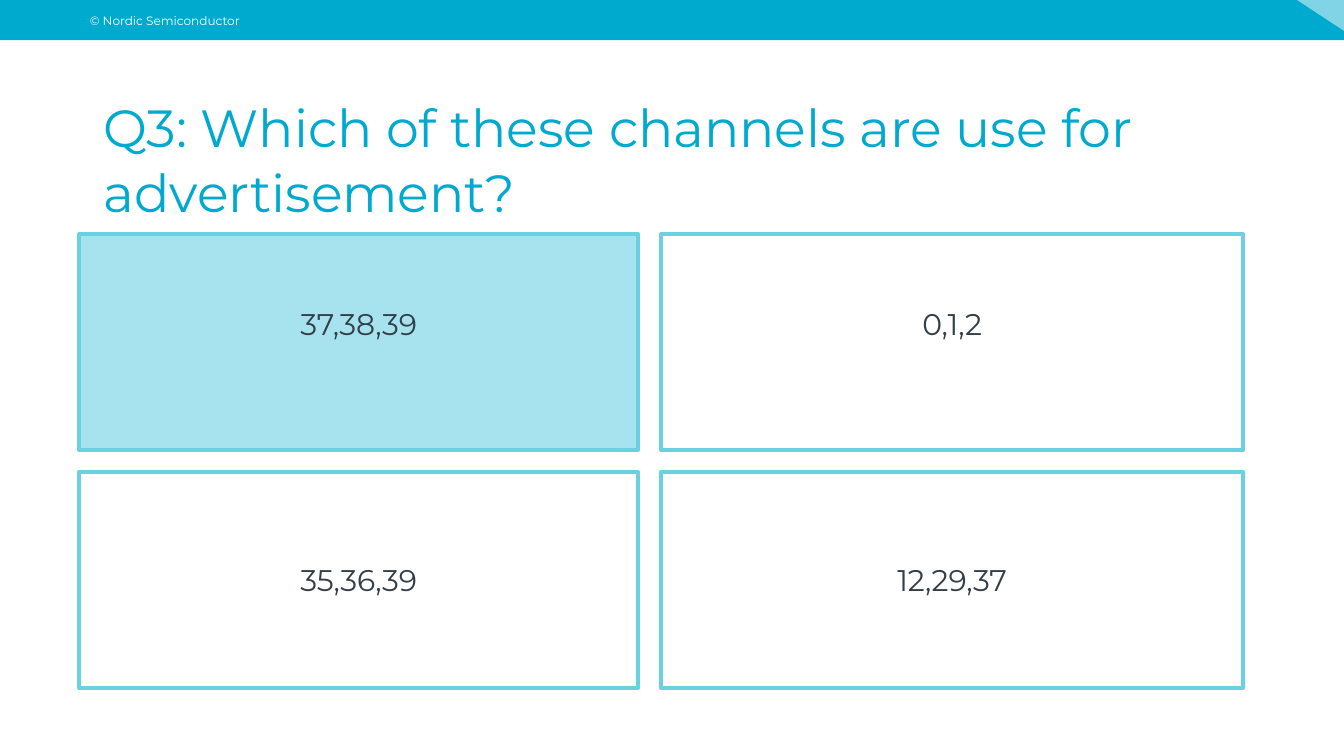
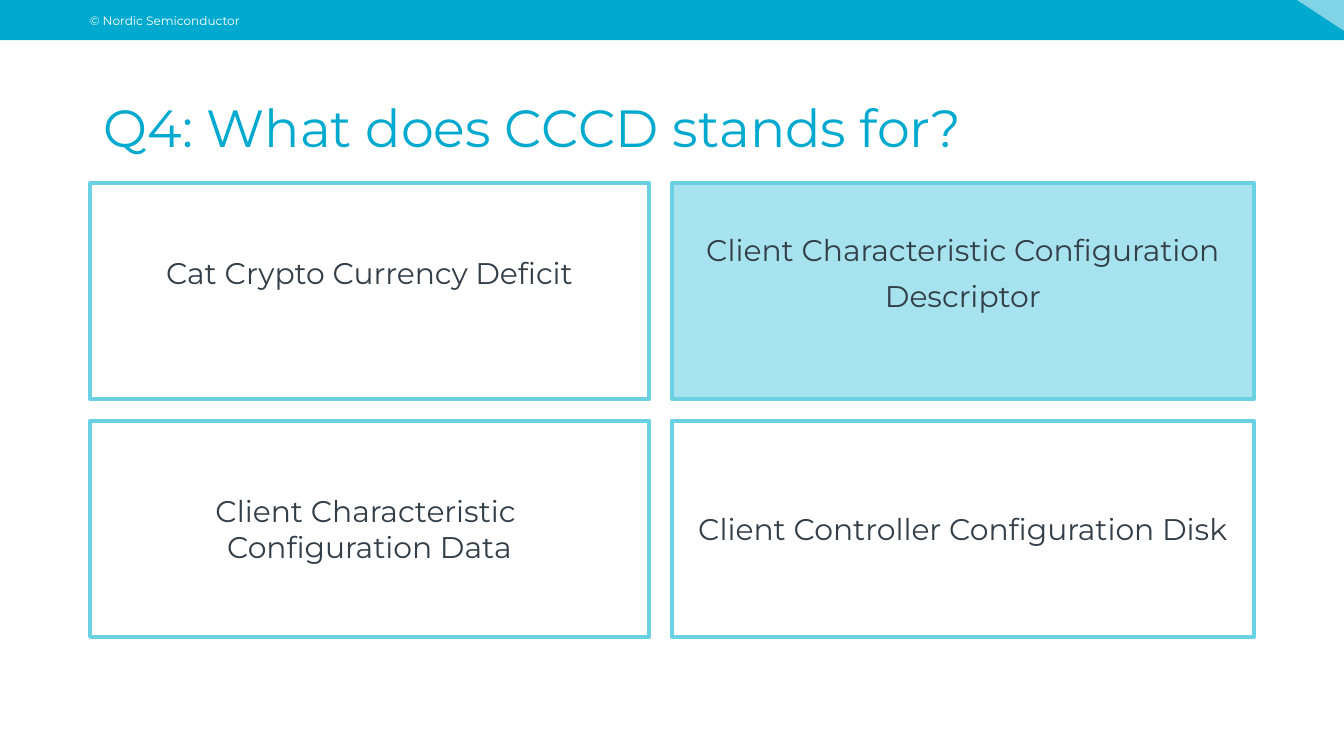
from dataclasses import dataclass

from lxml.etree import SubElement
from pptx import Presentation
from pptx.dml.color import RGBColor
from pptx.enum.shapes import MSO_SHAPE
from pptx.enum.text import MSO_ANCHOR, MSO_AUTO_SIZE, PP_ALIGN
from pptx.oxml.ns import qn
from pptx.util import Inches, Pt

COPYRIGHT = "© Nordic Semiconductor"

# Answers run row by row; each answer is a list of lines.
QUESTIONS = [
    {
        "title": "Q3: Which of these channels are use for advertisement?",
        "answers": [["37,38,39"], ["0,1,2"], ["35,36,39"], ["12,29,37"]],
        "correct": 0,
        "grid_origin": (0.59, 1.74),
    },
    {
        "title": "Q4: What does CCCD stands for?",
        "answers": [
            ["Cat Crypto Currency Deficit"],
            ["Client Characteristic Configuration Descriptor"],
            ["Client Characteristic ", "Configuration Data"],
            ["Client Controller Configuration Disk"],
        ],
        "correct": 1,
        "grid_origin": (0.67, 1.36),
    },
]


@dataclass(frozen=True)
class Theme:
    font: str = "Montserrat"
    blue: RGBColor = RGBColor(0x00, 0xA9, 0xCE)
    border: RGBColor = RGBColor(0x6A, 0xD1, 0xE3)
    highlight: RGBColor = RGBColor(0xA6, 0xE3, 0xEE)
    text: RGBColor = RGBColor(0x33, 0x3F, 0x48)
    white: RGBColor = RGBColor(0xFF, 0xFF, 0xFF)
    title_size: float = 28
    answer_size: float = 16
    copyright_size: float = 6.5


THEME = Theme()
SLIDE_WIDTH = 10
SLIDE_HEIGHT = SLIDE_WIDTH * 9 / 16
BAND_HEIGHT = 0.3
COLUMN_WIDTHS = (4.16, 4.33)
ROW_HEIGHT = 1.61
COLUMN_GAP, ROW_GAP = 0.17, 0.16
TOP_ROW_BOTTOM_INSET = 0.4


def add_run(paragraph, text, size, color):
    run = paragraph.add_run()
    run.text = text
    run.font.name = THEME.font
    run.font.size = Pt(size)
    run.font.color.rgb = color


def style_shape(shape, fill, border=None):
    shape.shadow.inherit = False
    shape.fill.solid()
    shape.fill.fore_color.rgb = fill
    if border is None:
        shape.line.fill.background()
    else:
        shape.line.color.rgb = border
        shape.line.width = Pt(2)


def add_header(slide):
    band = slide.shapes.add_shape(
        MSO_SHAPE.RECTANGLE, 0, 0, Inches(SLIDE_WIDTH), Inches(BAND_HEIGHT))
    style_shape(band, THEME.blue)

    notice = slide.shapes.add_textbox(
        Inches(0.57), Inches(0.04), Inches(3.63), Inches(0.29))
    notice.text_frame.word_wrap = True
    notice.text_frame.margin_top = Inches(0.04)
    paragraph = notice.text_frame.paragraphs[0]
    paragraph.line_spacing = 1.2
    add_run(paragraph, COPYRIGHT, THEME.copyright_size, THEME.white)

    builder = slide.shapes.build_freeform(Inches(SLIDE_WIDTH), 0)
    builder.add_line_segments(
        [(Inches(SLIDE_WIDTH), Inches(0.23)), (Inches(9.65), 0)], close=True)
    corner = builder.convert_to_shape()
    style_shape(corner, THEME.white)
    color = corner.fill._xPr.find(qn("a:solidFill"))[0]
    SubElement(color, qn("a:alpha"), val="50000")


def set_title(slide, text):
    title = slide.shapes.title
    title.left, title.top = Inches(0.67), Inches(0.64)
    title.width, title.height = Inches(8.66), Inches(0.56)
    frame = title.text_frame
    frame.auto_size = MSO_AUTO_SIZE.NONE
    frame.word_wrap = True
    frame.vertical_anchor = MSO_ANCHOR.TOP
    frame.margin_top = Inches(0.05)
    paragraph = frame.paragraphs[0]
    paragraph.alignment = PP_ALIGN.LEFT
    paragraph.line_spacing = Pt(35)
    add_run(paragraph, text, THEME.title_size, THEME.blue)


def add_answer(slide, lines, row, column, origin, is_correct):
    left = origin[0] + sum(COLUMN_WIDTHS[:column]) + column * COLUMN_GAP
    top = origin[1] + row * (ROW_HEIGHT + ROW_GAP)
    box = slide.shapes.add_shape(
        MSO_SHAPE.RECTANGLE, Inches(left), Inches(top),
        Inches(COLUMN_WIDTHS[column]), Inches(ROW_HEIGHT))
    style_shape(box, THEME.highlight if is_correct else THEME.white, THEME.border)

    in_top_row = row == 0
    frame = box.text_frame
    frame.word_wrap = in_top_row
    frame.vertical_anchor = MSO_ANCHOR.MIDDLE
    if in_top_row:
        frame.margin_bottom = Inches(TOP_ROW_BOTTOM_INSET)
    for index, line in enumerate(lines):
        paragraph = frame.add_paragraph() if index else frame.paragraphs[0]
        paragraph.alignment = PP_ALIGN.CENTER
        if in_top_row:
            paragraph.line_spacing = 1.3
        add_run(paragraph, line, THEME.answer_size, THEME.text)


def add_question(presentation, question):
    slide = presentation.slides.add_slide(presentation.slide_layouts[5])
    add_header(slide)
    set_title(slide, question["title"])
    for index, lines in enumerate(question["answers"]):
        row, column = divmod(index, len(COLUMN_WIDTHS))
        add_answer(slide, lines, row, column, question["grid_origin"],
                   index == question["correct"])


def main():
    presentation = Presentation()
    presentation.slide_width = Inches(SLIDE_WIDTH)
    presentation.slide_height = Inches(SLIDE_HEIGHT)
    for question in QUESTIONS:
        add_question(presentation, question)
    presentation.save("out.pptx")


if __name__ == "__main__":
    main()
